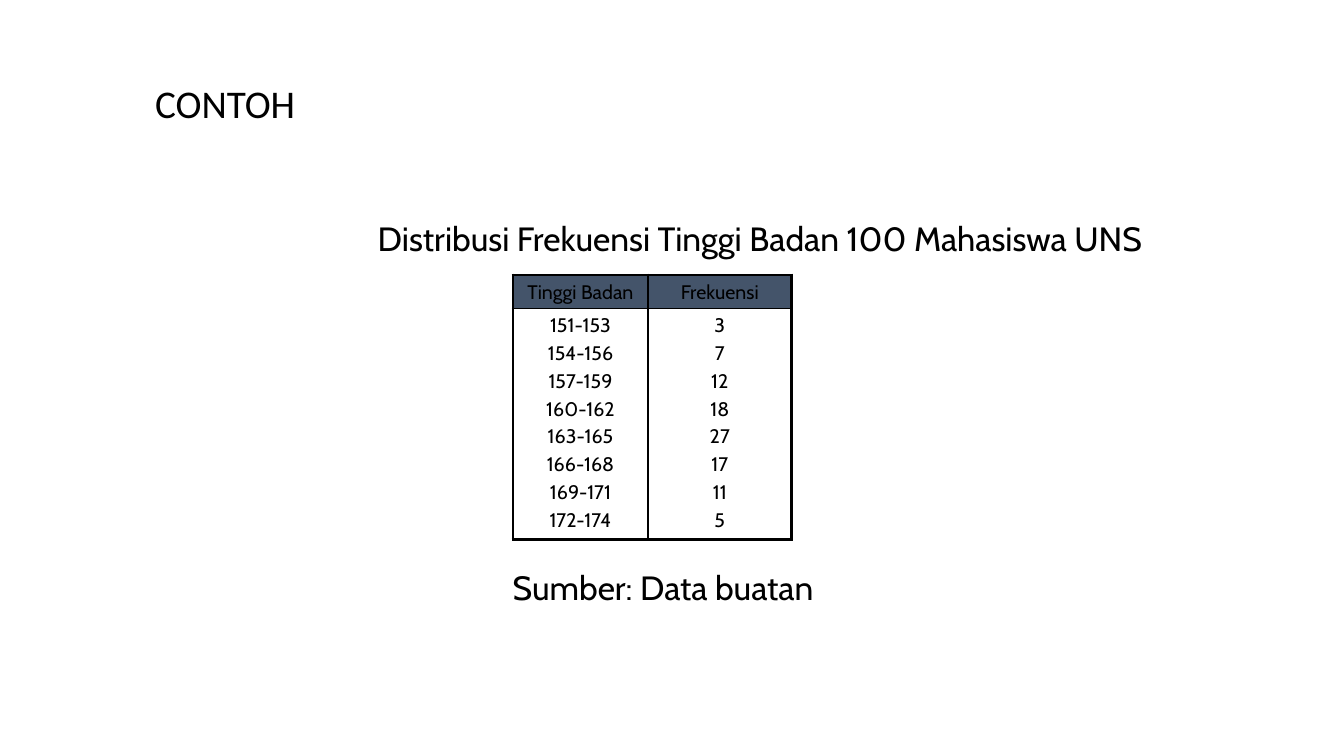
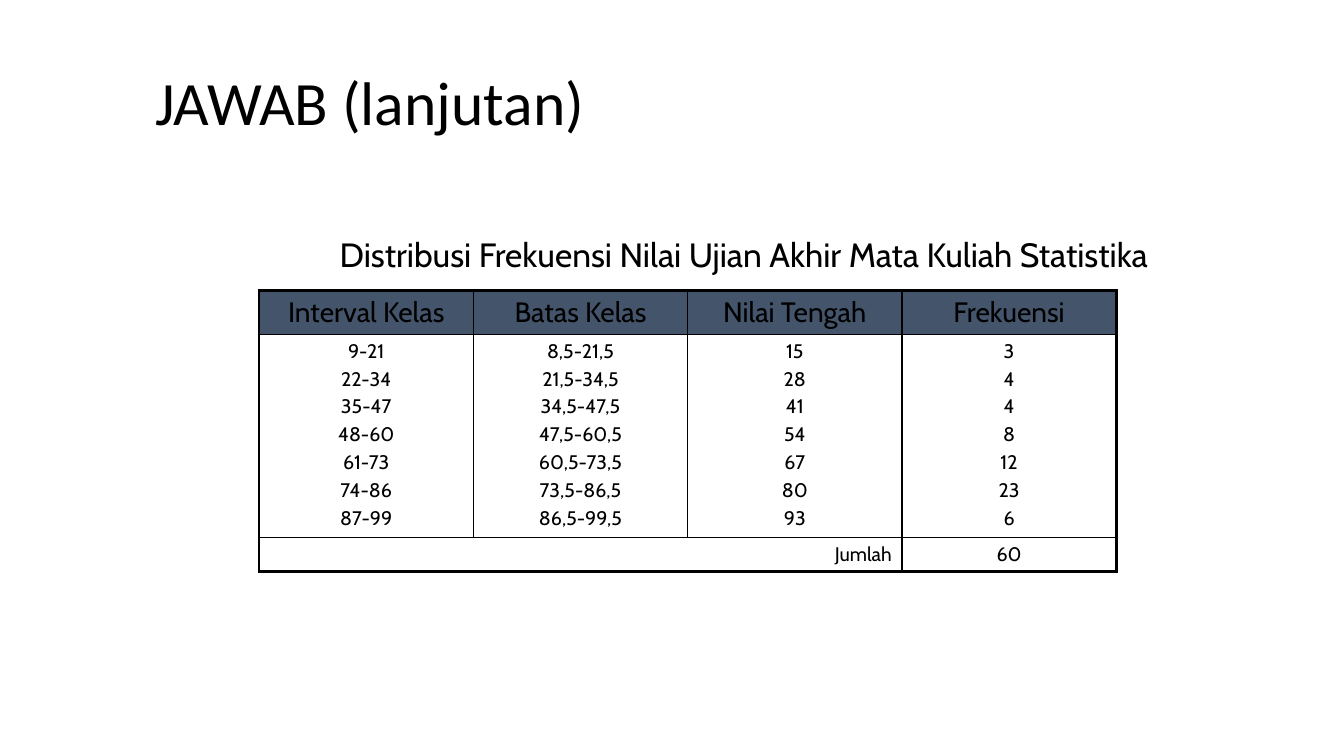
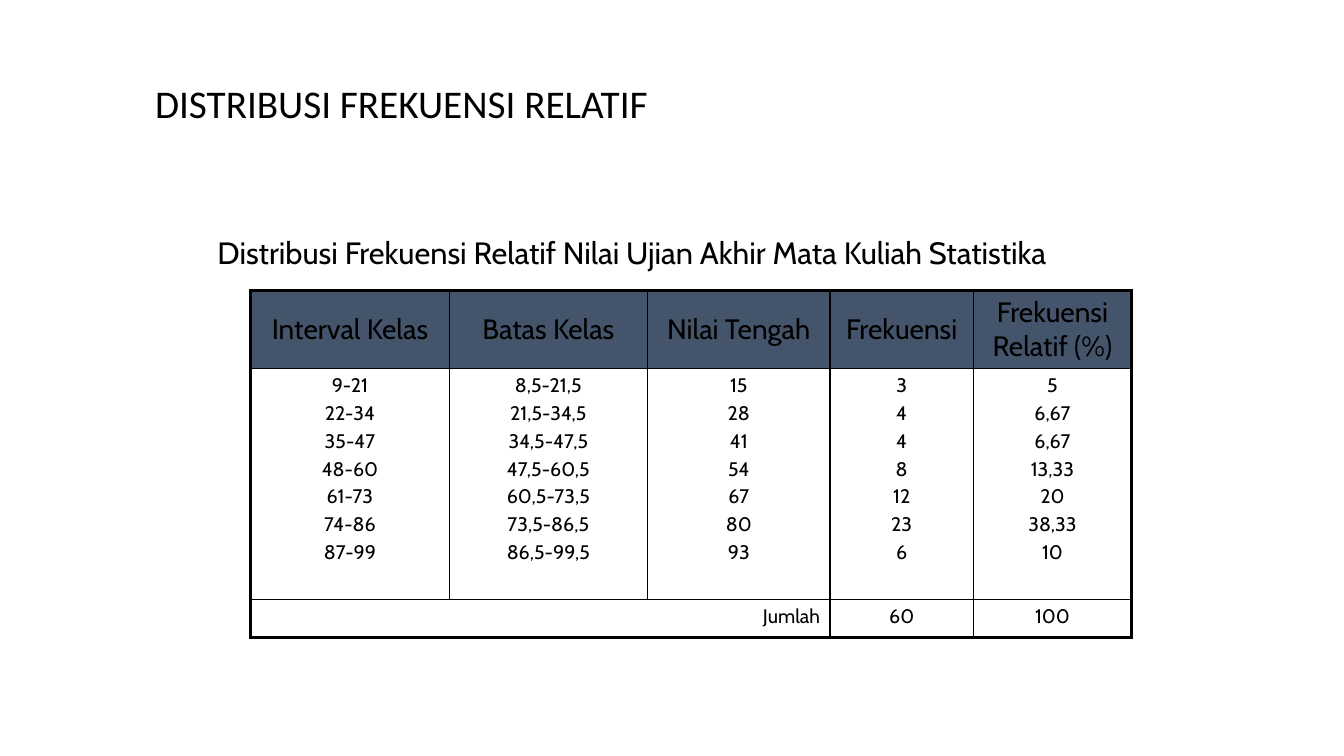
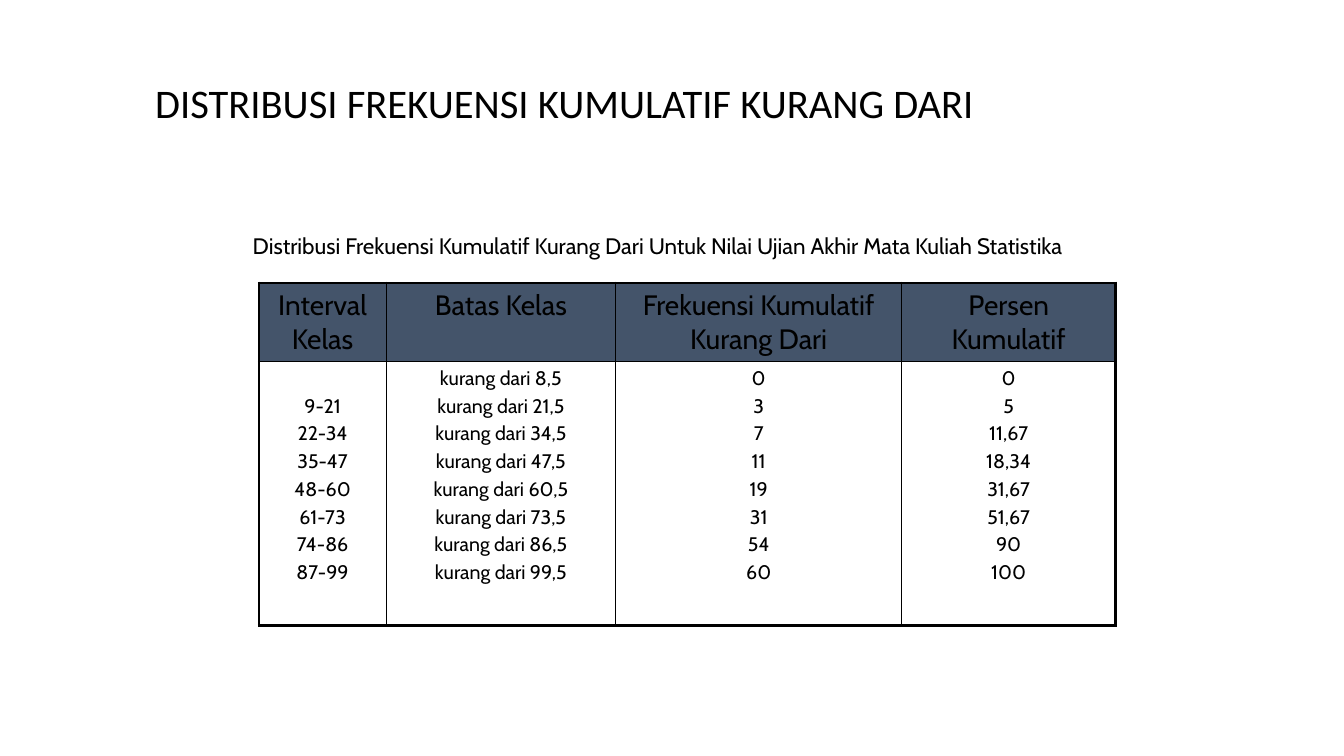
import pptx
import pptx.dml.color
import pptx.enum.text
import pptx.oxml
import pptx.oxml.ns
import pptx.util
from pptx.util import Cm, Pt

BLACK = pptx.dml.color.RGBColor(0x00, 0x00, 0x00)
SLATE = pptx.dml.color.RGBColor(0x44, 0x54, 0x6A)
TITLE_FONT, TEXT_FONT = "Calibri", "Cabin"
BODY_SIZE = 14
OUTER_LINE, INNER_LINE = Pt(2.25), Pt(1)
CELL_TOP, LINE_PITCH = 0.13, 0.7  # cm

ALIGN = pptx.enum.text.PP_ALIGN
ANCHOR = pptx.enum.text.MSO_ANCHOR

# Content shared by several tables
INTERVALS = ["9-21", "22-34", "35-47", "48-60", "61-73", "74-86", "87-99"]
BOUNDS = ["8,5", "21,5", "34,5", "47,5", "60,5", "73,5", "86,5", "99,5"]
EXAM_COLUMNS = [
    ("Interval Kelas", INTERVALS),
    ("Batas Kelas", [f"{low}-{high}" for low, high in zip(BOUNDS, BOUNDS[1:])]),
    ("Nilai Tengah", ["15", "28", "41", "54", "67", "80", "93"]),
    ("Frekuensi", ["3", "4", "4", "8", "12", "23", "6"]),
]

# One entry a slide; captions are (text, size, left, top, width), lengths in cm
SLIDES = [
    {
        "title": ("CONTOH", 28),
        "captions": [
            ("Distribusi Frekuensi Tinggi Badan 100 Mahasiswa UNS", 24, 9.27, 5.36, 20.96),
            ("Sumber: Data buatan", 24, 12.67, 14.17, 8.61),
        ],
        "columns": [
            ("Tinggi Badan", ["151-153", "154-156", "157-159", "160-162",
                              "163-165", "166-168", "169-171", "172-174"]),
            ("Frekuensi", ["3", "7", "12", "18", "27", "17", "11", "5"]),
        ],
        "header_size": 14,
        "place": (12.93, 6.93),
        "widths": [3.4, 3.62],
        "heights": [0.84, 5.82],
    },
    {
        "title": ("JAWAB (lanjutan)", 44),
        "captions": [
            ("Distribusi Frekuensi Nilai Ujian Akhir Mata Kuliah Statistika",
             24, 8.31, 5.77, 22.48),
        ],
        "columns": EXAM_COLUMNS,
        "totals": ["60"],
        "header_size": 20,
        "place": (6.53, 7.32),
        "widths": [5.4] * 4,
        "heights": [1.1, 5.12, 0.85],
    },
    {
        "title": ("DISTRIBUSI FREKUENSI RELATIF", 28),
        "captions": [
            ("Distribusi Frekuensi Relatif Nilai Ujian Akhir Mata Kuliah Statistika",
             22, 5.23, 5.77, 23.01),
        ],
        "columns": EXAM_COLUMNS + [
            ("Frekuensi Relatif (%)", ["5", "6,67", "6,67", "13,33", "20", "38,33", "10"]),
        ],
        "totals": ["60", "100"],
        "header_size": 20,
        "header_anchor": ANCHOR.MIDDLE,
        "place": (6.32, 7.32),
        "widths": [5, 5, 4.6, 3.61, 3.99],
        "heights": [1.97, 5.81, 0.96],
    },
    {
        "title": ("DISTRIBUSI FREKUENSI KUMULATIF KURANG DARI", 29),
        "captions": [
            ("Distribusi Frekuensi Kumulatif Kurang Dari Untuk Nilai Ujian Akhir "
             "Mata Kuliah Statistika", 16, 6.12, 5.72, 22.3),
        ],
        "columns": [
            ("Interval Kelas", INTERVALS),
            ("Batas Kelas", [f"kurang dari {bound}" for bound in BOUNDS]),
            ("Frekuensi Kumulatif Kurang Dari", ["0", "3", "7", "11", "19", "31", "54", "60"]),
            ("Persen Kumulatif", ["0", "5", "11,67", "18,34", "31,67", "51,67", "90", "100"]),
        ],
        "header_size": 20,
        "place": (6.53, 7.13),
        "widths": [3.2, 5.79, 7.2, 5.4],
        "heights": [1.97, 6.66],
    },
]


def add_span(para, text, size, font_name):
    span = para.add_run()
    span.text = text
    span.font.size = Pt(size)
    span.font.name = font_name
    span.font.color.rgb = BLACK


def add_text(page, text, size, font_name, left, top, width, height):
    box = page.shapes.add_textbox(Cm(left), Cm(top), Cm(width), Cm(height))
    box.text_frame.word_wrap = True
    add_span(box.text_frame.paragraphs[0], text, size, font_name)
    return box


def add_title(page, text, size):
    box = add_text(page, text, size, TITLE_FONT, 3.66, 1.07, 28.85, 3.18)
    box.text_frame.vertical_anchor = ANCHOR.MIDDLE
    box.text_frame.paragraphs[0].line_spacing = 0.9


def fill_cell(cell, lines, size, align=ALIGN.CENTER):
    frame = cell.text_frame
    for index, line in enumerate(lines):
        para = frame.add_paragraph() if index else frame.paragraphs[0]
        para.alignment = align
        if index:
            para.space_before = Pt(0.2 * size)
        add_span(para, line, size, TEXT_FONT)


def set_border(cell, side, width):
    """Draw one side of a cell; no width means no line."""
    properties = cell._tc.get_or_add_tcPr()
    line = pptx.oxml.ns.qn(f"a:ln{side}")
    border = properties.makeelement(line, {"w": str(int(width or 0))})
    properties.append(border)
    if width is None:
        border.append(pptx.oxml.parse_xml(f"<a:noFill {pptx.oxml.ns.nsdecls('a')}/>"))
    else:
        border.append(pptx.oxml.parse_xml(
            f"<a:solidFill {pptx.oxml.ns.nsdecls('a')}>"
            f'<a:srgbClr val="{BLACK}"/></a:solidFill>'))


def style_cells(table):
    """Heavy frame, thin inner lines, no lines inside merged cells."""
    last_row, last_column = len(table.rows) - 1, len(table.columns) - 1
    for row in range(last_row + 1):
        for column in range(last_column + 1):
            cell = table.cell(row, column)
            inside_left = cell.is_spanned
            inside_right = (inside_left and column < last_column
                            and table.cell(row, column + 1).is_spanned)
            sides = [("L", column == 0, inside_left),
                     ("R", column == last_column, inside_right),
                     ("T", row == 0, False),
                     ("B", row == last_row, False)]
            for side, is_outer, is_inside in sides:
                width = OUTER_LINE if is_outer else INNER_LINE
                set_border(cell, side, None if is_inside else width)
            if row == 0:
                cell.fill.solid()
                cell.fill.fore_color.rgb = SLATE
            else:
                cell.fill.background()


def add_frequency_table(page, content):
    columns, widths, heights = content["columns"], content["widths"], content["heights"]
    left, top = content["place"]
    frame = page.shapes.add_table(len(heights), len(widths), Cm(left), Cm(top),
                                  Cm(sum(widths)), Cm(sum(heights)))
    table = frame.table
    table.first_row = table.horz_banding = False
    for column, width in zip(table.columns, widths):
        column.width = Cm(width)
    for row, height in zip(table.rows, heights):
        row.height = Cm(height)

    # Header and class rows; short columns start lower so the last lines agree
    line_count = max(len(values) for _, values in columns)
    for index, (header, values) in enumerate(columns):
        header_cell, body_cell = table.cell(0, index), table.cell(1, index)
        fill_cell(header_cell, [header], content["header_size"])
        header_cell.vertical_anchor = content.get("header_anchor", ANCHOR.TOP)
        fill_cell(body_cell, values, BODY_SIZE)
        missing = line_count - len(values)
        body_cell.margin_top = Cm(CELL_TOP + missing * LINE_PITCH)

    # Total row
    totals = content.get("totals", [])
    if totals:
        first = len(columns) - len(totals)
        label = table.cell(2, 0)
        label.merge(table.cell(2, first - 1))
        fill_cell(label, ["Jumlah"], BODY_SIZE, ALIGN.RIGHT)
        for index, total in enumerate(totals, first):
            fill_cell(table.cell(2, index), [total], BODY_SIZE)
    style_cells(table)


def main():
    deck = pptx.Presentation()
    deck.slide_width, deck.slide_height = Cm(33.87), Cm(19.05)
    for content in SLIDES:
        page = deck.slides.add_slide(deck.slide_layouts[6])
        add_title(page, *content["title"])
        add_frequency_table(page, content)
        for text, size, left, top, width in content["captions"]:
            add_text(page, text, size, TEXT_FONT, left, top, width, 1.27)
    deck.save("out.pptx")


if __name__ == "__main__":
    main()
